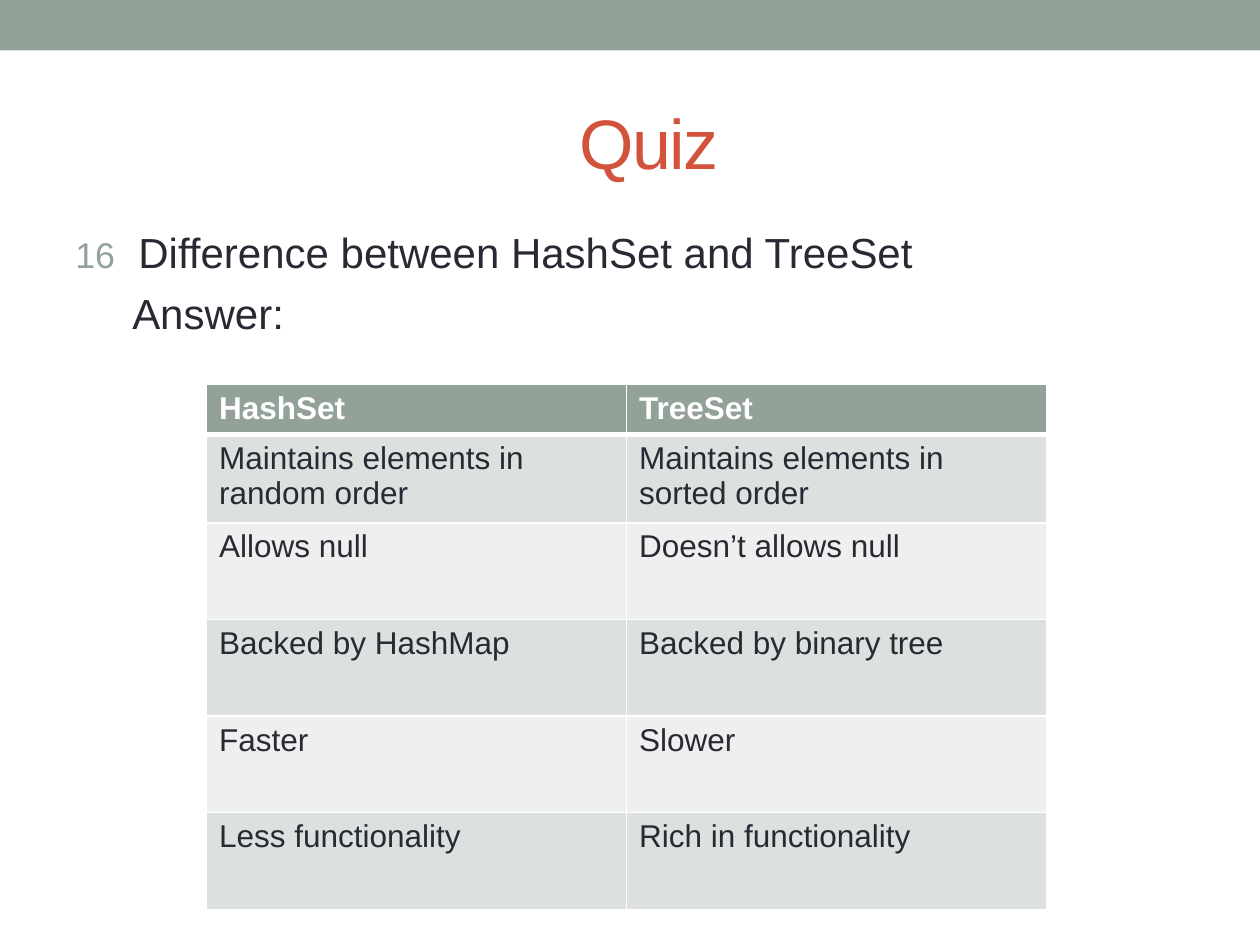
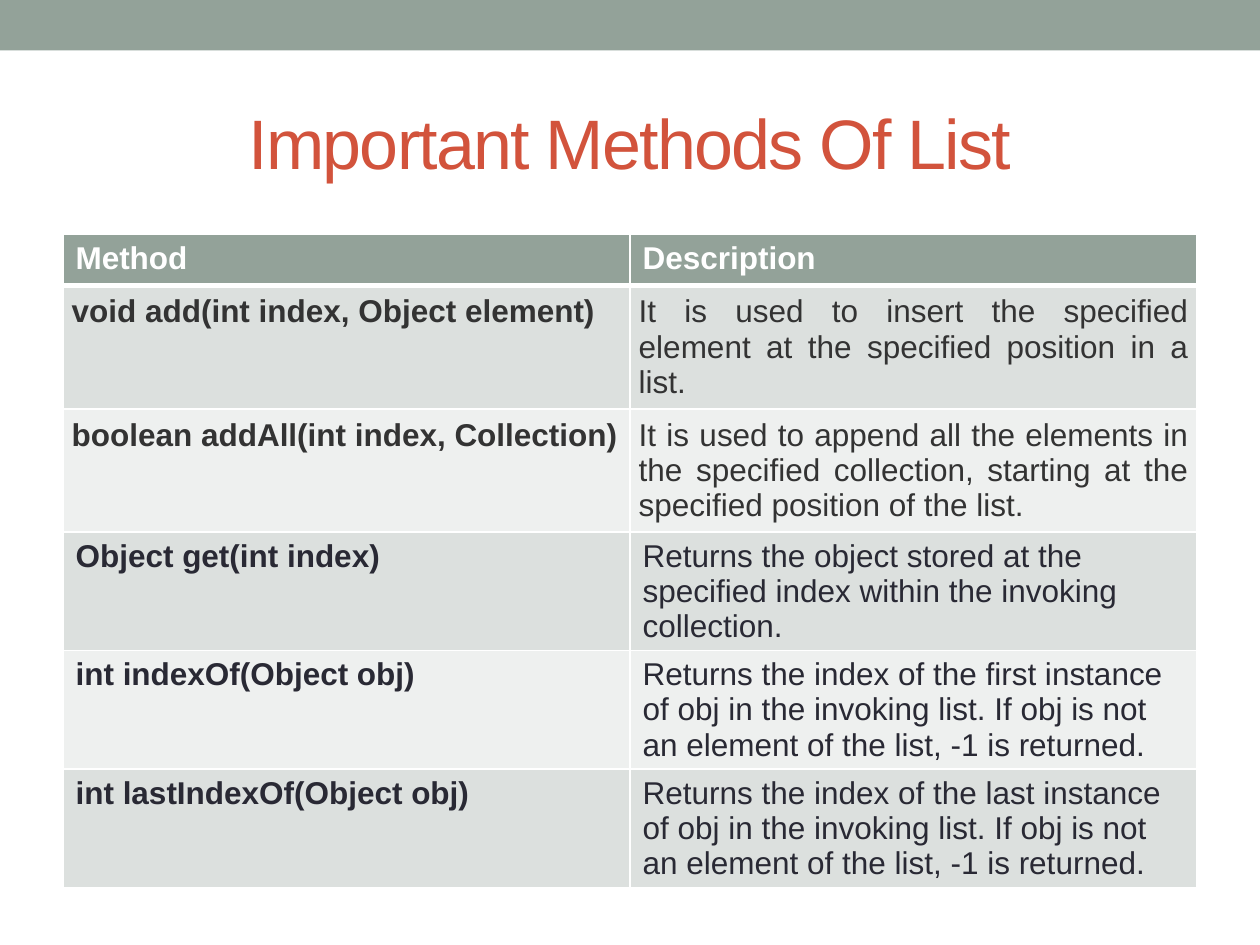
from pptx import Presentation
from pptx.dml.color import RGBColor
from pptx.enum.shapes import MSO_SHAPE as Shape
from pptx.enum.text import MSO_ANCHOR as Anchor, PP_ALIGN as Align
from pptx.oxml.ns import qn
from pptx.util import Pt
from lxml.etree import SubElement

FONT = "Arial"
SAGE, RUST, INK, CHARCOAL, WHITE = "93A299", "D2533C", "292934", "333333", "FFFFFF"
ROW_TINTS = "DCE0DE", "EEF0EF"
SLIDE_WIDTH, SLIDE_HEIGHT = 720, 540
TITLE_BOX = 36, 42, 648, 78


def rgb(color):
    return RGBColor.from_string(color)


def add_run(paragraph, text, size, color, bold=False):
    run = paragraph.add_run()
    run.text = text
    font = run.font
    font.name, font.size, font.bold = FONT, Pt(size), bold
    font.color.rgb = rgb(color)
    return run


def set_indent(paragraph, left, first=0):
    """Set the left margin and the first-line offset, and return the properties."""
    properties = paragraph._p.get_or_add_pPr()
    properties.set("marL", str(Pt(left)))
    properties.set("indent", str(Pt(first)))
    return properties


def number_from(paragraph, start):
    properties = set_indent(paragraph, 36, -36)
    number_color = SubElement(properties, qn("a:buClr"))
    SubElement(number_color, qn("a:srgbClr"), val=SAGE)
    SubElement(properties, qn("a:buSzPct"), val="85000")
    SubElement(properties, qn("a:buFont"), typeface=FONT)
    SubElement(properties, qn("a:buAutoNum"), type="arabicPlain", startAt=str(start))


def add_titled_slide(deck, heading, indent=None):
    """Add a slide with the top band; the title is centred unless indented."""
    slide = deck.slides.add_slide(deck.slide_layouts[5])
    band = slide.shapes.add_shape(Shape.RECTANGLE, 0, 0, Pt(SLIDE_WIDTH), Pt(28.8))
    band.shadow.inherit = False
    band.fill.solid()
    band.fill.fore_color.rgb = rgb(SAGE)
    band.line.fill.background()

    title = slide.shapes.title
    title.left, title.top, title.width, title.height = map(Pt, TITLE_BOX)
    title.text_frame.vertical_anchor = Anchor.MIDDLE
    paragraph = title.text_frame.paragraphs[0]
    if indent is None:
        paragraph.alignment = Align.CENTER
    else:
        paragraph.alignment = Align.LEFT
        set_indent(paragraph, indent)
    run = add_run(paragraph, heading, 40, RUST)
    run.font._element.set("spc", "-100")
    return slide


def add_question(slide, box, number, question, answer_label):
    frame = slide.shapes.add_textbox(*map(Pt, box)).text_frame
    frame.word_wrap = True
    asked = frame.paragraphs[0]
    number_from(asked, number)
    add_run(asked, question, 24, INK)
    answer = frame.add_paragraph()
    set_indent(answer, 32.5)
    answer.space_before = Pt(6)
    add_run(answer, answer_label, 24, INK)


def set_borders(cell, top, bottom):
    properties = cell._tc.get_or_add_tcPr()
    widths = {"a:lnL": 1, "a:lnR": 1, "a:lnT": top, "a:lnB": bottom}
    for position, (side, width) in enumerate(widths.items()):
        line = SubElement(properties, qn(side), w=str(Pt(width)))
        fill = SubElement(line, qn("a:solidFill"))
        SubElement(fill, qn("a:srgbClr"), val=WHITE)
        properties.insert(position, line)


def add_comparison(slide, left, top, width, heights, rows, bold_first=False, justified=()):
    """Add a banded table; rows whose index is in justified get wider vertical insets."""
    columns = len(rows[0])
    table = slide.shapes.add_table(len(rows), columns, Pt(left), Pt(top),
                                   Pt(width), Pt(sum(heights))).table
    for column in table.columns:
        column.width = Pt(width / columns)
    for r, (height, texts) in enumerate(zip(heights, rows)):
        table.rows[r].height = Pt(height)
        header = r == 0
        for c, text in enumerate(texts):
            cell = table.cell(r, c)
            cell.fill.solid()
            cell.fill.fore_color.rgb = rgb(SAGE if header else ROW_TINTS[(r - 1) % 2])
            set_borders(cell, 3 if r == 1 else 1, 3 if header else 1)
            paragraph = cell.text_frame.paragraphs[0]
            color = WHITE if header else INK
            if r in justified:
                cell.margin_left = cell.margin_right = Pt(5)
                cell.margin_top = cell.margin_bottom = Pt(5)
                paragraph.alignment = Align.JUSTIFY
                color = CHARCOAL
            add_run(paragraph, text, 18, color, header or (bold_first and c == 0))


def build_quiz(deck):
    slide = add_titled_slide(deck, "Quiz", indent=288)
    add_question(slide, (36, 126, 648, 80), 16,
                 "Difference between HashSet and TreeSet", "Answer:")
    add_comparison(slide, 118, 219.6, 480, [27, 47.5] + [55.2] * 4, [
        ("HashSet", "TreeSet"),
        ("Maintains elements in random order", "Maintains elements in sorted order"),
        ("Allows null", "Doesn’t allows null"),
        ("Backed by HashMap", "Backed by binary tree"),
        ("Faster", "Slower"),
        ("Less functionality", "Rich in functionality"),
    ])


def build_list_methods(deck):
    slide = add_titled_slide(deck, "Important Methods Of List")
    index_of = ("Returns the index of the {} instance of obj in the invoking list. "
                "If obj is not an element of the list, -1 is returned.")
    add_comparison(slide, 36, 134, 648, [29.2] + [70] * 2 + [67.6] * 3, [
        ("Method", "Description"),
        ("void add(int index, Object element)",
         "It is used to insert the specified element at the specified position in a list."),
        ("boolean addAll(int index, Collection)",
         "It is used to append all the elements in the specified collection, "
         "starting at the specified position of the list."),
        ("Object get(int index)",
         "Returns the object stored at the specified index within the invoking collection."),
        ("int indexOf(Object obj)", index_of.format("first")),
        ("int lastIndexOf(Object obj)", index_of.format("last")),
    ], bold_first=True, justified=(1, 2))


def main():
    deck = Presentation()
    deck.slide_width, deck.slide_height = Pt(SLIDE_WIDTH), Pt(SLIDE_HEIGHT)
    build_quiz(deck)
    build_list_methods(deck)
    deck.save("out.pptx")


if __name__ == "__main__":
    main()
